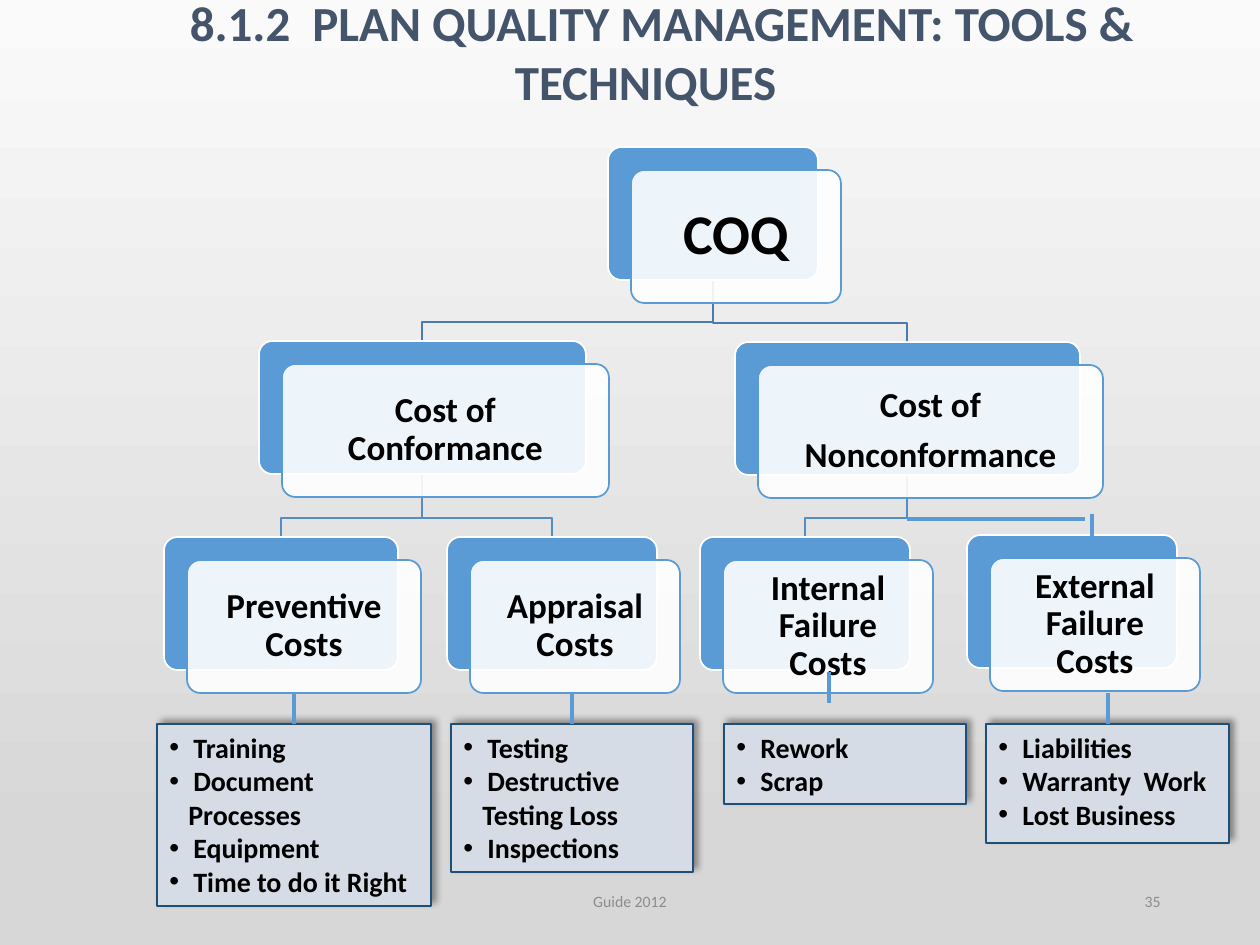
import pptx
import pptx.dml.color
import pptx.enum.shapes
import pptx.enum.text
import pptx.oxml.ns
import pptx.util
from lxml import etree

EMU_PER_PX = 914400 / 126
FONT = "Calibri"
BLUE, WHITE, BLACK, GRAY = "5B9BD5", "FFFFFF", "000000", "8C8C8C"
CARD_HEIGHT, CARD_OFFSET, BRANCH_RISE = 133, 23, 19
BULLET_INDENT, CONTINUATION_INDENT = 24, 19

ALIGN = pptx.enum.text.PP_ALIGN
MIDDLE = pptx.enum.text.MSO_ANCHOR.MIDDLE
TOP = pptx.enum.text.MSO_ANCHOR.TOP
SHAPE = pptx.enum.shapes.MSO_SHAPE

# key: (left, top, width, text lines, font size, inset)
COSTS = {
    "coq": (608, 147, 210, ["COQ"], 32, 16),
    "conformance": (259, 341, 327, ["Cost of Conformance"], 20, 10),
    "preventive": (164, 537, 234, ["Preventive Costs"], 20, 10),
    "appraisal": (447, 537, 210, ["Appraisal Costs"], 20, 10),
    "nonconformance": (735, 342, 345, ["Cost of", "Nonconformance"], 20, 10),
    "internal": (700, 537, 210, ["Internal Failure Costs"], 20, 10),
    "external": (967, 535, 210, ["External Failure Costs"], 20, 10),
}
# parent, child, line colour
BRANCHES = [
    ("nonconformance", "internal", "538DC1"),
    ("coq", "nonconformance", "497CAB"),
    ("conformance", "appraisal", "538DC1"),
    ("conformance", "preventive", "538DC1"),
    ("coq", "conformance", "497CAB"),
]
# left, width, height, items; a second line in an item has no bullet
EXAMPLES = [
    (157, 274, 182, ["Training", "Document\nProcesses", "Equipment", "Time to do it Right"]),
    (451, 242, 148, ["Testing", "Destructive\nTesting Loss", "Inspections"]),
    (724, 242, 80, ["Rework", "Scrap"]),
    (986, 243, 119, ["Liabilities", "Warranty  Work", "Lost Business"]),
]
EXAMPLES_TOP = 724
LINKS = [
    (907, 519, 1085, 519),
    (1092, 514, 1092, 546),
    (294, 693, 294, 724),
    (572, 693, 572, 724),
    (829, 672, 829, 703),
    (1108, 693, 1108, 724),
]


def px(value):
    return pptx.util.Emu(round(value * EMU_PER_PX))


def color(value):
    return pptx.dml.color.RGBColor.from_string(value)


def set_attributes(target, values):
    for name, value in values.items():
        setattr(target, name, value)


def add_xml(parent, tag, **attributes):
    return etree.SubElement(parent, pptx.oxml.ns.qn(tag), attributes)


def set_line(shape, line_color, points):
    shape.line.color.rgb = color(line_color)
    shape.line.width = pptx.util.Pt(points)


def set_frame(frame, anchor, **margins):
    set_attributes(frame, {"word_wrap": True, "vertical_anchor": anchor, **margins})


def write_paragraph(frame, index, text, size, text_color, align, bold=True, **spacing):
    paragraph = frame.paragraphs[0] if index == 0 else frame.add_paragraph()
    set_attributes(paragraph, {"alignment": align, **spacing})
    run = paragraph.add_run()
    run.text = text
    set_attributes(run.font, {"name": FONT, "size": pptx.util.Pt(size), "bold": bold})
    run.font.color.rgb = color(text_color)
    return paragraph


def indent(paragraph, left, first):
    properties = paragraph._p.get_or_add_pPr()
    properties.set("marL", str(px(left)))
    properties.set("indent", str(px(first)))
    return properties


def paint_background(slide):
    fill = slide.background.fill
    fill.gradient()
    fill.gradient_angle = 270
    for stop, (position, shade) in zip(fill.gradient_stops, [(0, "FAFAFA"), (0.89, "D7D7D7")]):
        stop.position = position
        stop.color.rgb = color(shade)


def add_label(slide, box, text, size, text_color, align, bold=False):
    label = slide.shapes.add_textbox(*map(px, box))
    set_frame(label.text_frame, MIDDLE)
    return write_paragraph(label.text_frame, 0, text, size, text_color, align, bold)


def add_block(slide, kind, box, fill, line_color, points):
    block = slide.shapes.add_shape(kind, *map(px, box))
    block.shadow.inherit = False
    block.fill.solid()
    block.fill.fore_color.rgb = color(fill)
    set_line(block, line_color, points)
    return block


def add_branch(slide, parent, child, line_color):
    """Elbow from the middle of the parent's back card to the child's."""
    (x1, top, width, *_), (x2, y2, child_width, *_) = COSTS[parent], COSTS[child]
    x1, x2, y1 = x1 + width // 2, x2 + child_width // 2, top + CARD_HEIGHT
    bend = y2 - BRANCH_RISE
    builder = slide.shapes.build_freeform(x1, y1, scale=EMU_PER_PX)
    builder.add_line_segments([(x1, bend), (x2, bend), (x2, y2)], close=False)
    branch = builder.convert_to_shape()
    branch.shadow.inherit = False
    branch.fill.background()
    set_line(branch, line_color, 1)


def add_cost(slide, left, top, width, lines, size, inset):
    """Blue card with a translucent white card, carrying the text, in front."""
    back = add_block(slide, SHAPE.ROUNDED_RECTANGLE, (left, top, width, CARD_HEIGHT), BLUE, WHITE, 1)
    front_box = (left + CARD_OFFSET, top + CARD_OFFSET, width, CARD_HEIGHT)
    front = add_block(slide, SHAPE.ROUNDED_RECTANGLE, front_box, WHITE, BLUE, 1)
    back.adjustments[0] = front.adjustments[0] = 0.1
    fill_color = front._element.spPr.find(pptx.oxml.ns.qn("a:solidFill"))[0]
    add_xml(fill_color, "a:alpha", val="90000")
    sides = ("left", "right", "top", "bottom")
    set_frame(front.text_frame, MIDDLE, **{f"margin_{side}": px(inset) for side in sides})
    for index, line in enumerate(lines):
        write_paragraph(front.text_frame, index, line, size, BLACK, ALIGN.CENTER,
                        line_spacing=0.9, space_after=pptx.util.Pt(round(size * 0.35)))


def add_shadow(shape):
    effects = shape._element.spPr.find(pptx.oxml.ns.qn("a:effectLst"))
    shadow = add_xml(effects, "a:outerShdw", blurRad=str(pptx.util.Pt(4)),
                     dist=str(pptx.util.Pt(3)), dir="18900000", algn="bl", rotWithShape="0")
    add_xml(add_xml(shadow, "a:srgbClr", val=BLACK), "a:alpha", val="40000")


def add_examples(slide, left, width, height, items):
    box = add_block(slide, SHAPE.RECTANGLE, (left, EXAMPLES_TOP, width, height),
                    "D6DCE5", "1F4E79", 0.75)
    add_shadow(box)
    set_frame(box.text_frame, TOP)
    lines = [(part, line) for item in items for line, part in enumerate(item.split("\n"))]
    for index, (text, continued) in enumerate(lines):
        paragraph = write_paragraph(box.text_frame, index, text, 16, BLACK, ALIGN.LEFT)
        if continued:
            indent(paragraph, CONTINUATION_INDENT, 0)
        else:
            properties = indent(paragraph, BULLET_INDENT, -BULLET_INDENT)
            add_xml(properties, "a:buFont", typeface="Arial")
            add_xml(properties, "a:buChar", char="•")


def add_link(slide, ends):
    link = slide.shapes.add_connector(pptx.enum.shapes.MSO_CONNECTOR.STRAIGHT, *map(px, ends))
    set_line(link, BLUE, 2.25)
    add_xml(link._element.spPr, "a:effectLst")


def main():
    deck = pptx.Presentation()
    deck.slide_width, deck.slide_height = px(1260), px(945)
    slide = deck.slides.add_slide(deck.slide_layouts[6])
    paint_background(slide)
    title = add_label(slide, (30, -28, 1231, 158),
                      "8.1.2  PLAN QUALITY MANAGEMENT: TOOLS & TECHNIQUES",
                      28, "44546A", ALIGN.CENTER, bold=True)
    indent(title, 0, 32)
    for branch in BRANCHES:
        add_branch(slide, *branch)
    for cost in COSTS.values():
        add_cost(slide, *cost)
    add_label(slide, (417, 876, 426, 50), "Guide 2012", 9, GRAY, ALIGN.CENTER)
    add_label(slide, (890, 876, 283, 50), "35", 9, GRAY, ALIGN.RIGHT)
    for examples in EXAMPLES:
        add_examples(slide, *examples)
    for ends in LINKS:
        add_link(slide, ends)
    deck.save("out.pptx")


if __name__ == "__main__":
    main()
